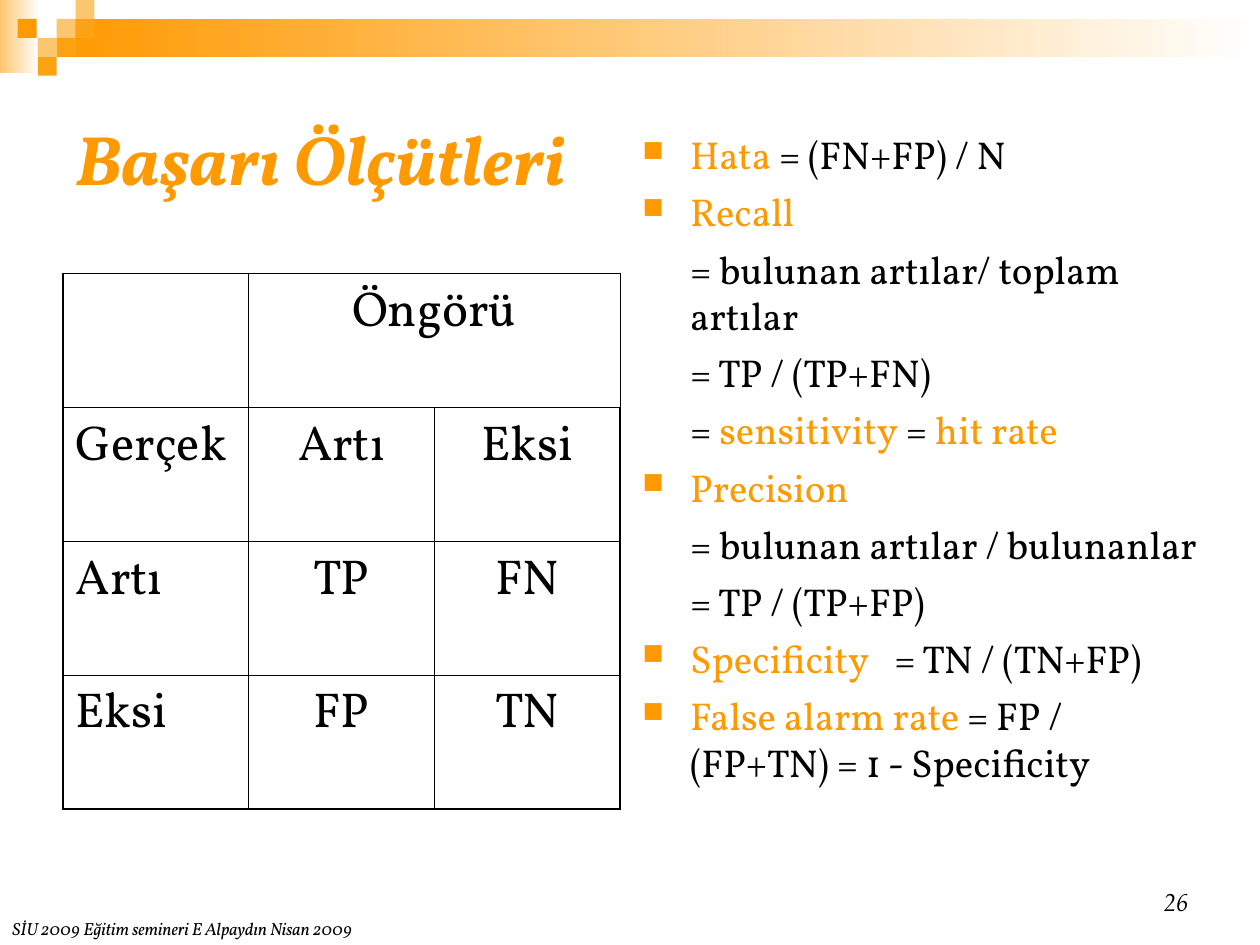
"""Build a slide of classifier success measures with a confusion matrix."""
import lxml.etree
import pptx
import pptx.dml.color
import pptx.enum.shapes
import pptx.enum.text
import pptx.oxml.ns
import pptx.util

Inches = pptx.util.Inches
Pt = pptx.util.Pt
ALIGN = pptx.enum.text.PP_ALIGN
ANCHOR = pptx.enum.text.MSO_ANCHOR
COLORS = {
    "orange": "FF9900",
    "amber": "FBA313",
    "pale": "FCC66E",
    "white": "FFFFFF",
    "black": "000000",
}
SQUARE = 0.15
SQUARES = [
    (0.45, 0.15, "pale"),
    (0.6, 0, "pale"),
    (0.6, 0.15, "amber"),
    (0.3, 0.3, "pale"),
    (0.14, 0.15, "orange"),
    (0.45, 0.3, "amber"),
    (0.3, 0.45, "amber"),
]
MEASURES = [
    (True, [("Hata ", "orange"), ("= (FN+FP) / N", "black")]),
    (True, [("Recall", "orange")]),
    (False, [("= bulunan artılar/ toplam artılar", "black")]),
    (False, [("= TP / (TP+FN)", "black")]),
    (False, [("= ", "black"), ("sensitivity", "orange"), (" = ", "black"), ("hit rate", "orange")]),
    (True, [("Precision", "orange")]),
    (False, [("= bulunan artılar / bulunanlar", "black")]),
    (False, [("= TP / (TP+FP)", "black")]),
    (True, [("Specificity \t", "orange"), ("= TN / (TN+FP)", "black")]),
    (True, [("False alarm rate", "orange"), (" = FP / (FP+TN) = 1 - Specificity", "black")]),
]
MATRIX = [
    ["", "Öngörü", ""],
    ["Gerçek", "Artı", "Eksi"],
    ["Artı", "TP", "FN"],
    ["Eksi", "FP", "TN"],
]


def rgb(name):
    """Return the named colour."""
    return pptx.dml.color.RGBColor.from_string(COLORS[name])


def add_xml(parent, tag, **attributes):
    """Append a DrawingML child element and return it."""
    return lxml.etree.SubElement(parent, pptx.oxml.ns.qn(tag), attributes)


class SlideBuilder:
    """Hold the text style and the current slide."""

    font_name = "Vollkorn"

    def __init__(self, slide):
        """Keep the slide to draw on."""
        self.slide = slide

    def rectangle(self, left, top, width, height, color, fade=False):
        """Add a plain rectangle, optionally fading to white on the right."""
        shape = self.slide.shapes.add_shape(
            pptx.enum.shapes.MSO_SHAPE.RECTANGLE,
            Inches(left), Inches(top), Inches(width), Inches(height),
        )
        shape.shadow.inherit = False
        shape.line.fill.background()
        if fade:
            shape.fill.gradient()
            shape.fill.gradient_angle = 180
            for stop, name in zip(shape.fill.gradient_stops, ("white", color)):
                stop.color.rgb = rgb(name)
        else:
            shape.fill.solid()
            shape.fill.fore_color.rgb = rgb(color)

    def run(self, paragraph, text, size, color="black", bold=False, italic=False, font_name=None):
        """Add one styled run to a paragraph."""
        run = paragraph.add_run()
        run.text = text
        run.font.name = font_name or self.font_name
        run.font.size = Pt(size)
        run.font.bold = bold
        run.font.italic = italic
        run.font.color.rgb = rgb(color)

    def title(self, text):
        """Fill and place the title placeholder."""
        title = self.slide.shapes.title
        title.left, title.top = Inches(0.5), Inches(0.5)
        title.width, title.height = Inches(9), Inches(1.5)
        frame = title.text_frame
        frame.auto_size = pptx.enum.text.MSO_AUTO_SIZE.NONE
        frame.vertical_anchor = ANCHOR.MIDDLE
        frame.paragraphs[0].alignment = ALIGN.LEFT
        self.run(frame.paragraphs[0], text, 40, "orange", bold=True, italic=True)

    def text_box(self, left, top, width, height, anchor=ANCHOR.TOP):
        """Add a wrapping text box and return its frame."""
        box = self.slide.shapes.add_textbox(
            Inches(left), Inches(top), Inches(width), Inches(height)
        )
        frame = box.text_frame
        frame.word_wrap = True
        frame.vertical_anchor = anchor
        return frame

    def caption(self, text, size, place, align=ALIGN.LEFT, font_name=None):
        """Add a one-line italic caption resting on the bottom of its box."""
        paragraph = self.text_box(*place, anchor=ANCHOR.BOTTOM).paragraphs[0]
        paragraph.alignment = align
        self.run(paragraph, text, size, italic=True, font_name=font_name)

    def measures(self, items, place):
        """Add the list of measures, bulleted where marked."""
        frame = self.text_box(*place)
        for index, (bulleted, runs) in enumerate(items):
            paragraph = frame.add_paragraph() if index else frame.paragraphs[0]
            properties = paragraph._p.get_or_add_pPr()
            properties.set("marL", str(Inches(0.38)))
            properties.set("indent", str(-Inches(0.38) if bulleted else 0))
            if bulleted:
                color = add_xml(properties, "a:buClr")
                add_xml(color, "a:srgbClr", val=COLORS["orange"])
                add_xml(properties, "a:buSzPct", val="75000")
                add_xml(properties, "a:buChar", char="■")
                tabs = add_xml(properties, "a:tabLst")
                add_xml(tabs, "a:tab", pos=str(Inches(2)), algn="l")
            paragraph.space_before = Pt(6 if index else 0)
            for text, name in runs:
                self.run(paragraph, text, 22.2, name)

    def borders(self, cell, widths):
        """Draw the four borders of a cell, given in points by side."""
        properties = cell._tc.get_or_add_tcPr()
        for index, (side, width) in enumerate(widths.items()):
            line = add_xml(properties, f"a:ln{side}", w=str(Pt(width)))
            fill = add_xml(line, "a:solidFill")
            add_xml(fill, "a:srgbClr", val=COLORS["black"])
            properties.insert(index, line)

    def matrix(self, rows, left, top, width, height):
        """Add the confusion matrix with a heavier outer frame."""
        last_row, last_column = len(rows) - 1, len(rows[0]) - 1
        table = self.slide.shapes.add_table(
            len(rows), len(rows[0]), Inches(left), Inches(top), Inches(width), Inches(height)
        ).table
        table.first_row = table.horz_banding = False
        table.cell(0, 1).merge(table.cell(0, last_column))
        for row, texts in enumerate(rows):
            for column, text in enumerate(texts):
                cell = table.cell(row, column)
                cell.fill.background()
                outer = {
                    "L": column == 0,
                    "R": column == last_column,
                    "T": row == 0,
                    "B": row == last_row,
                }
                self.borders(cell, {side: 1.08 if edge else 0.45 for side, edge in outer.items()})
                if text:
                    paragraph = cell.text_frame.paragraphs[0]
                    paragraph.alignment = ALIGN.CENTER if column else ALIGN.LEFT
                    self.run(paragraph, text, 28)


def main():
    """Build and save the slide."""
    presentation = pptx.Presentation()
    presentation.slide_width, presentation.slide_height = Inches(10), Inches(7.5)
    builder = SlideBuilder(presentation.slides.add_slide(presentation.slide_layouts[5]))
    builder.rectangle(0, 0, 0.31, 0.58, "pale", fade=True)
    builder.rectangle(0.45, 0.15, 9.55, 0.3, "orange", fade=True)
    for left, top, color in SQUARES:
        builder.rectangle(left, top, SQUARE, SQUARE, color)
    builder.title("Başarı Ölçütleri")
    builder.measures(MEASURES, (5, 0.99, 4.64, 5.83))
    builder.matrix(MATRIX, 0.5, 2.17, 4.42, 4.25)
    builder.caption("SİU 2009 Eğitim semineri E Alpaydın Nisan 2009", 10, (0, 7.26, 6.61, 0.24))
    builder.caption("26", 14, (7.2, 6.82, 2.33, 0.5), ALIGN.RIGHT, "TeX Gyre Pagella")
    presentation.save("out.pptx")


if __name__ == "__main__":
    main()
